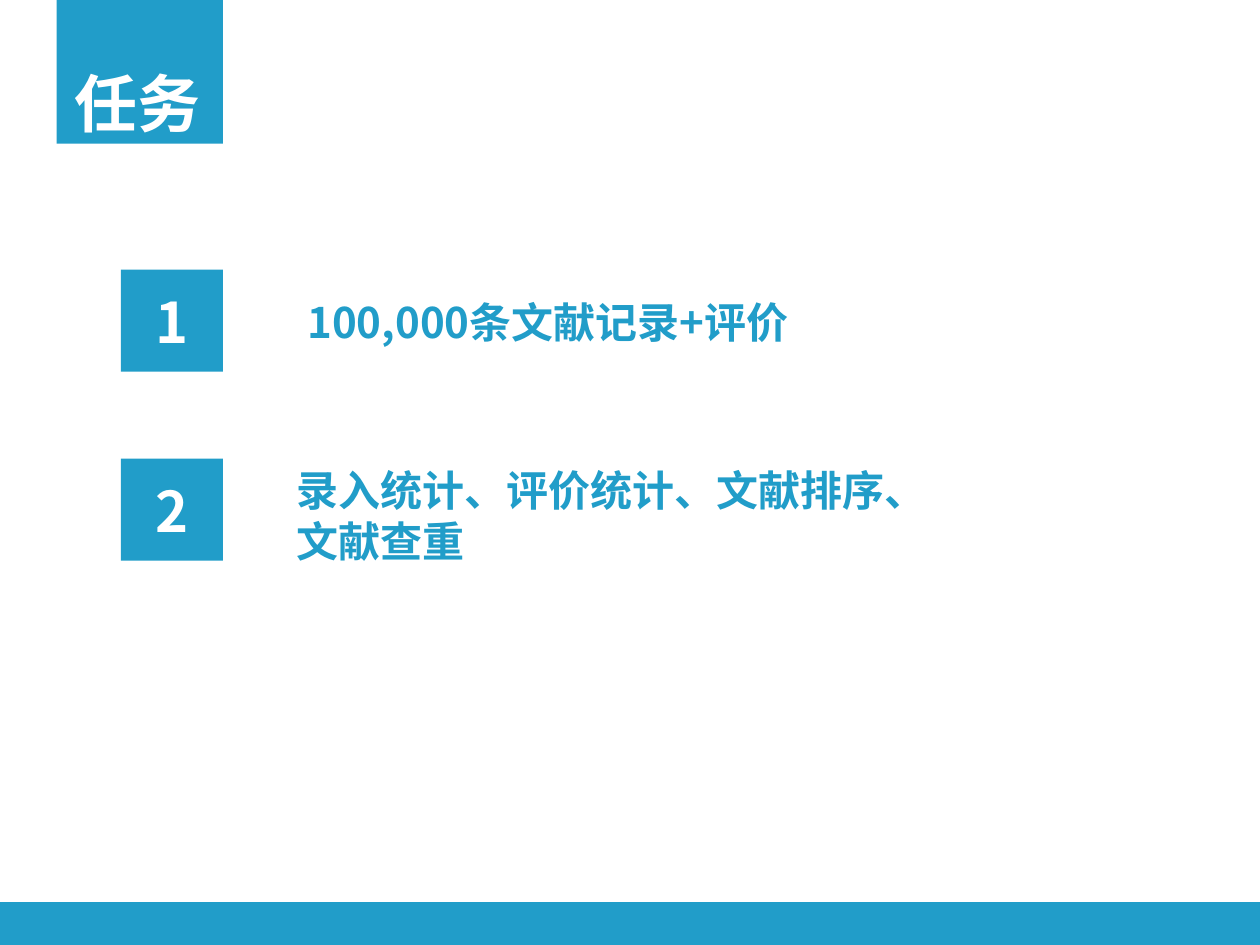
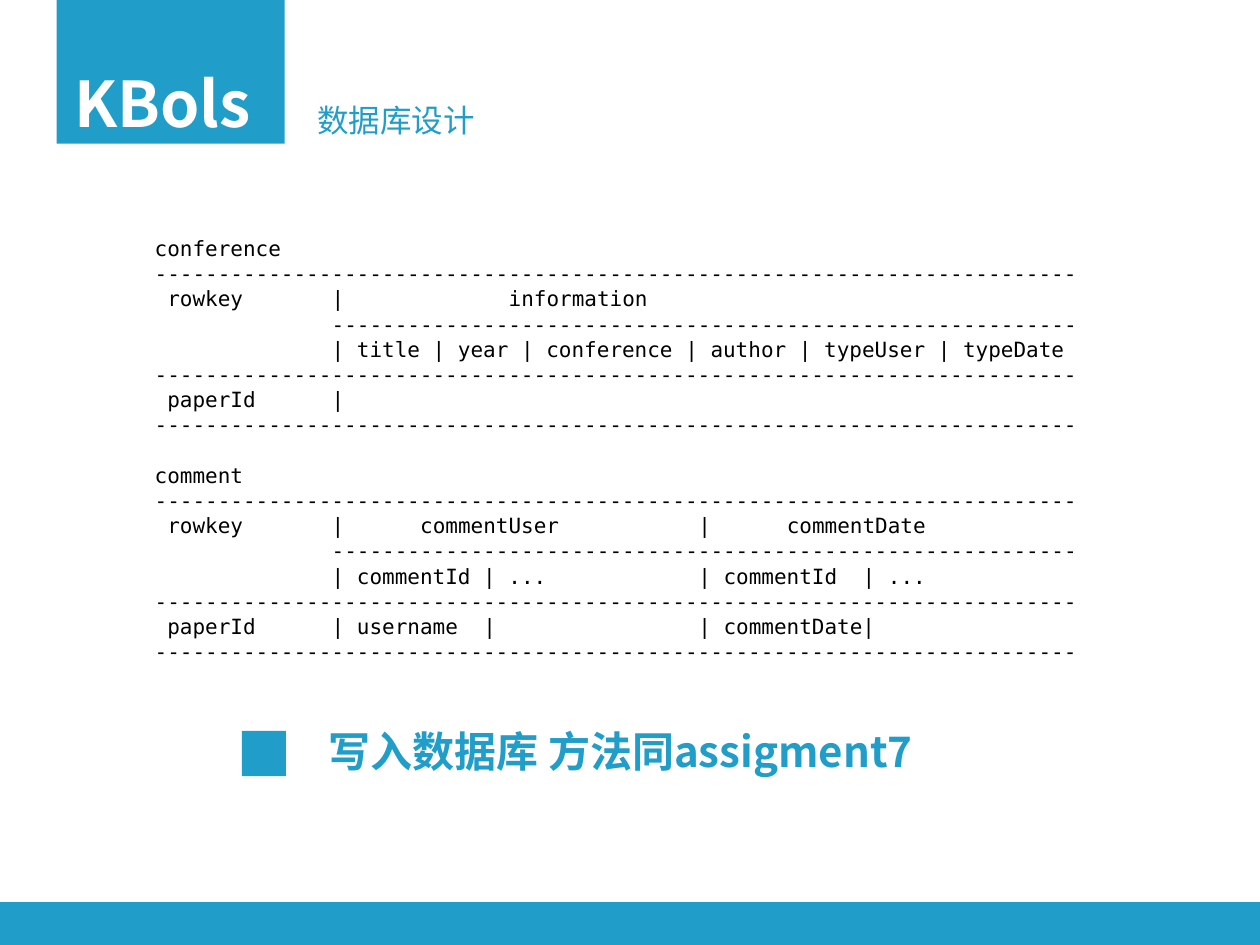
from dataclasses import dataclass

from pptx import Presentation
from pptx import util as u
from pptx.dml.color import RGBColor
from pptx.enum import shapes, text
from pptx.oxml.ns import qn


@dataclass(frozen=True)
class Theme:
    blue: RGBColor = RGBColor(0x21, 0x9D, 0xC9)
    white: RGBColor = RGBColor(0xFF, 0xFF, 0xFF)
    black: RGBColor = RGBColor(0, 0, 0)
    sans: str = "Noto Sans CJK SC"
    mono: str = "DejaVu Sans Mono"
    title: int = 36
    number: int = 32
    statement: int = 24
    subtitle: int = 18
    code: int = 12


THEME = Theme()

# Character styles
TITLE = dict(size=u.Pt(THEME.title), bold=True, name=THEME.sans, color=THEME.white)
NUMBER = dict(TITLE, size=u.Pt(THEME.number))
STATEMENT = dict(TITLE, size=u.Pt(THEME.statement), color=THEME.blue)
SUBTITLE = dict(STATEMENT, size=u.Pt(THEME.subtitle), bold=False)
CODE = dict(size=u.Pt(THEME.code), bold=False, name=THEME.mono, color=THEME.black)

# Paragraph and frame formats
FLUSH = dict(alignment=text.PP_ALIGN.LEFT, space_before=u.Pt(0))
CENTRED = dict(alignment=text.PP_ALIGN.CENTER)
TOP_FRAME = dict(word_wrap=True, vertical_anchor=text.MSO_ANCHOR.TOP,
                 auto_size=text.MSO_AUTO_SIZE.SHAPE_TO_FIT_TEXT)

# Schema listing: each line is a list of (character column, text)
LISTING_WIDTH = 73
FAMILY_COLUMN = 14
CHAR_WIDTH = 0.602 * THEME.code / 72
CODE_LINE = u.Pt(14.4)
FULL_RULE = [(0, "-" * LISTING_WIDTH)]
FAMILY_RULE = [(FAMILY_COLUMN, "-" * (LISTING_WIDTH - FAMILY_COLUMN))]


def set_all(target, values):
    for attribute, value in values.items():
        setattr(target, attribute, value)


def place(shape, box):
    sides = ("left", "top", "width", "height")
    set_all(shape, dict(zip(sides, map(u.Inches, box))))


def write(paragraph, words, style, **layout):
    set_all(paragraph, layout)
    run = paragraph.add_run()
    run.text = words
    set_all(run.font, {key: style[key] for key in ("size", "bold", "name")})
    run.font.color.rgb = style["color"]
    east_asian = run.font._element.makeelement(qn("a:ea"), {"typeface": style["name"]})
    run.font._element.find(qn("a:latin")).addnext(east_asian)


def add_block(slide, box):
    block = slide.shapes.add_shape(shapes.MSO_SHAPE.RECTANGLE, *map(u.Inches, box))
    block.shadow.inherit = False
    block.fill.solid()
    block.fill.fore_color.rgb = THEME.blue
    block.line.fill.background()
    return block


def add_label(slide, box, words, style, **layout):
    label = slide.shapes.add_textbox(*map(u.Inches, box))
    set_all(label.text_frame, TOP_FRAME)
    write(label.text_frame.paragraphs[0], words, style, **layout)


def fill_placeholder(holder, box, words, style, wrap=True):
    place(holder, box)
    set_all(holder.text_frame, dict(TOP_FRAME, word_wrap=wrap))
    paragraph = holder.text_frame.paragraphs[0]
    write(paragraph, words, style, **FLUSH)
    properties = paragraph._p.get_or_add_pPr()
    properties.set("marL", "0")
    properties.set("indent", "0")
    properties.append(properties.makeelement(qn("a:buNone"), {}))


def start_slide(deck, layout, title, tab_width, title_width):
    """Slide with the footer band and the title on its hanging tab."""
    slide = deck.slides.add_slide(deck.slide_layouts.get_by_name(layout))
    add_block(slide, (0, 7.16, 10, 0.34))
    add_block(slide, (0.45, 0, tab_width, 1.14))
    heading = slide.shapes.title
    fill_placeholder(heading, (0.49, 0.46, title_width, 0.71), title, TITLE, wrap=False)
    slide.shapes._spTree.append(heading._element)  # title in front of its tab
    return slide


def add_number(slide, number, top):
    block = add_block(slide, (0.96, top, 0.81, 0.81))
    block.text_frame.vertical_anchor = text.MSO_ANCHOR.MIDDLE
    write(block.text_frame.paragraphs[0], str(number), NUMBER, **CENTRED)


def add_tab_stops(paragraph, columns):
    properties = paragraph._p.get_or_add_pPr()
    stops = properties.makeelement(qn("a:tabLst"), {})
    for column in columns:
        position = str(u.Inches(column * CHAR_WIDTH))
        stops.append(stops.makeelement(qn("a:tab"), {"pos": position, "algn": "l"}))
    properties.append(stops)


def schema(name, families, qualifiers, values):
    """Lines of one table schema, with its rules."""
    return [[(0, name)], FULL_RULE, [(1, "rowkey"), *families], FAMILY_RULE,
            qualifiers, FULL_RULE, [(1, "paperId"), *values], FULL_RULE]


def add_listing(slide, box, schemas):
    listing = slide.shapes.add_textbox(*map(u.Inches, box))
    frame = listing.text_frame
    set_all(frame, TOP_FRAME)
    for table_index, lines in enumerate(schemas):
        for line_index, pieces in enumerate(lines):
            first = line_index == 0
            paragraph = (frame.paragraphs[0] if first and table_index == 0
                         else frame.add_paragraph())
            gap = CODE_LINE if first and table_index else u.Pt(0)
            words = "".join(("\t" if column else "") + piece for column, piece in pieces)
            write(paragraph, words, CODE, space_before=gap)
            stops = [column for column, _ in pieces if column]
            if stops:
                add_tab_stops(paragraph, stops)


def build_tasks(deck):
    slide = start_slide(deck, "Two Content", "任务", 1.32, 1.21)
    tasks = [("100,000条文献记录+评价", (2.34, 2.3, 4.17, 0.5)),
             ("录入统计、评价统计、文献排序、文献查重", (2.25, 3.64, 5.49, 0.91))]
    bodies = [holder for holder in slide.placeholders if holder.placeholder_format.idx]
    for index, (body, (task, box)) in enumerate(zip(bodies, tasks)):
        add_number(slide, index + 1, 2.14 + 1.5 * index)
        fill_placeholder(body, box, task, STATEMENT)


def build_database(deck):
    slide = start_slide(deck, "Title Only", "KBols", 1.81, 1.77)
    conference = schema(
        "conference",
        [(14, "|"), (28, "information")],
        [(14, "| title | year | conference | author | typeUser | typeDate")],
        [(14, "|")])
    comment = schema(
        "comment",
        [(14, "|"), (21, "commentUser"), (43, "|"), (50, "commentDate")],
        [(14, "| commentId | ..."), (43, "| commentId"), (56, "| ...")],
        [(14, "| username"), (26, "|"), (43, "| commentDate|")])
    add_listing(slide, (1.13, 1.82, 7.86, 3.74), [conference, comment])
    add_label(slide, (2.42, 0.66, 3.94, 0.48), "数据库设计", SUBTITLE, line_spacing=1.3)

    # Closing remark with its square marker
    add_block(slide, (1.92, 5.8, 0.35, 0.36))
    add_label(slide, (2.51, 5.71, 5.64, 0.5), "写入数据库 方法同assigment7", STATEMENT)


def main():
    deck = Presentation()
    set_all(deck, dict(slide_width=u.Inches(10), slide_height=u.Inches(7.5)))
    build_tasks(deck)
    build_database(deck)
    deck.save("out.pptx")


if __name__ == "__main__":
    main()
